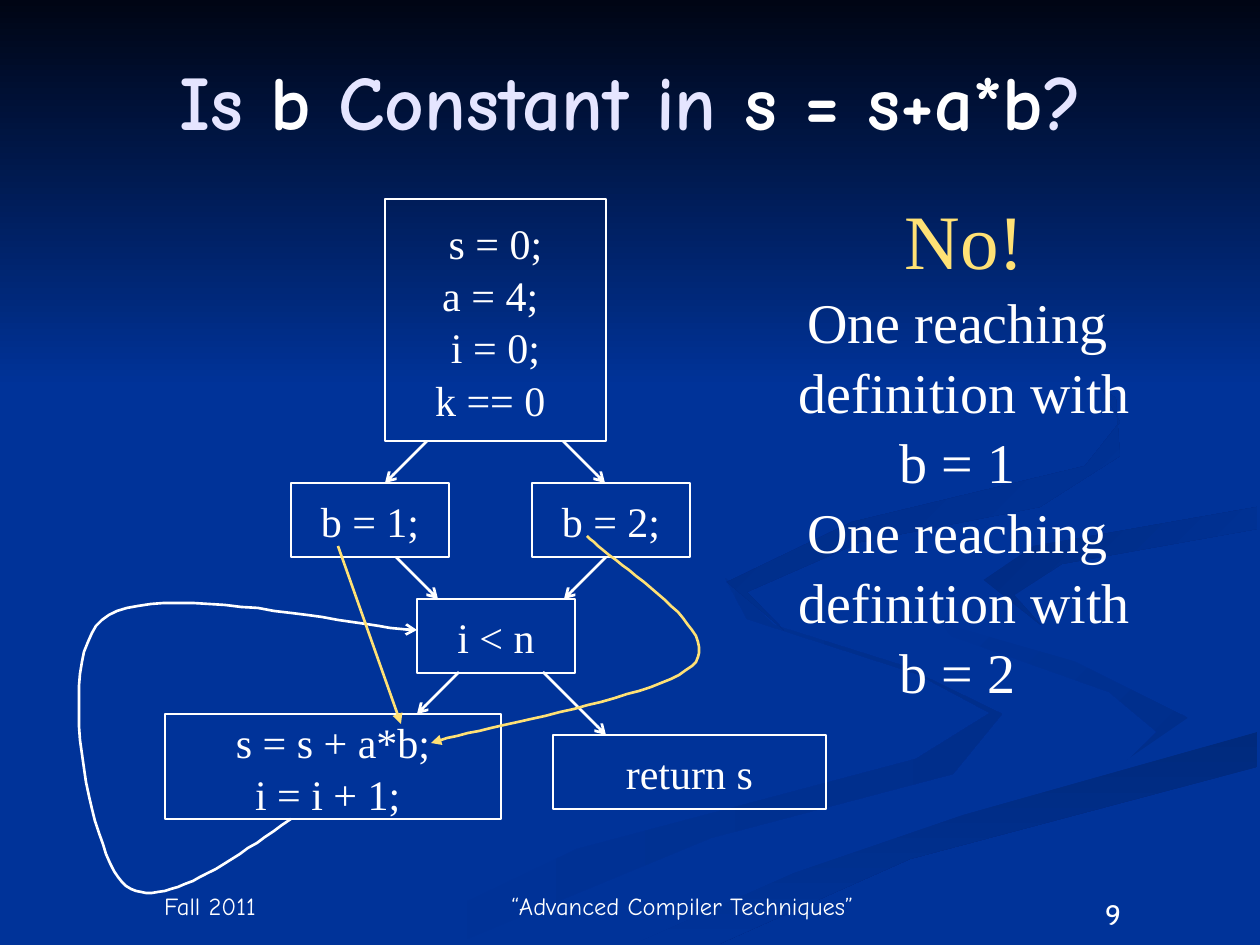
from lxml import etree
from pptx import Presentation
from pptx.dml.color import RGBColor
from pptx.enum.shapes import MSO_CONNECTOR, MSO_SHAPE
from pptx.enum.text import MSO_ANCHOR, PP_ALIGN
from pptx.oxml.ns import qn
from pptx.util import Pt

RECT, LINE = MSO_SHAPE.RECTANGLE, MSO_CONNECTOR.STRAIGHT
TOP, MID, LOW = MSO_ANCHOR.TOP, MSO_ANCHOR.MIDDLE, MSO_ANCHOR.BOTTOM
CENTER = PP_ALIGN.CENTER

SCALE = 914400 / 126
WIDTH, HEIGHT = 1260, 945
BLUE, DEEP, WHITE, LILAC, GOLD = "003399", "002B82", "FFFFFF", "E5E5FF", "FFE175"
SERIF, COMIC, SANS = "Times New Roman", "Comic Neue", "Cabin"

CODE = {"name": SERIF, "size": Pt(24), "color": WHITE}
NOTE = {**CODE, "size": Pt(32)}
SHOUT = {"name": SERIF, "size": Pt(44), "color": GOLD}
FOOT = {"name": COMIC, "size": Pt(14), "color": WHITE}
PAGE = {"name": SANS, "size": Pt(16), "color": WHITE}
HEAD = {"name": COMIC, "size": Pt(44), "bold": True, "color": LILAC}
TERM = {**HEAD, "color": WHITE}

# Edge shared by the lowest ribbon and the plain band above it
RIM = [(634, 944), (794, 873), (963, 815), (1257, 732)]

# Background ribbons: fill colours, gradient angle, outline
RIBBONS = [
    ((BLUE, "002E8B"), 0, [
        (1002, 714), (901, 665), (774, 625), (725, 578), (747, 619),
        (917, 674), (990, 713), (916, 759), (577, 849), (378, 944),
        (455, 944), (711, 838), (953, 774)]),
    ((BLUE, "002E8B"), 45, [
        (1188, 718), (1071, 660), (955, 627), (912, 585), (951, 636),
        (1109, 692), (1157, 732), (1126, 762)]),
    (("002A7D", BLUE), 90, RIM + [(1257, 767), (910, 859), (719, 944)]),
    ((BLUE,), 0, RIM + [
        (1259, 678), (1029, 620), (984, 583), (1090, 534), (1259, 507),
        (1259, 488), (993, 532), (914, 585), (955, 627), (1140, 680),
        (1188, 718), (1124, 762), (780, 862), (601, 944)]),
    ((DEEP, BLUE), 45, [
        (984, 580), (1041, 625), (1014, 595), (1062, 564), (1257, 529),
        (1257, 507), (1034, 546)]),
    ((DEEP, BLUE), 45, [
        (861, 542), (1040, 507), (1120, 456), (1116, 398), (960, 294),
        (1096, 377), (1120, 422), (1085, 466), (852, 522), (727, 582),
        (784, 630), (747, 592)]),
]

# Flow graph: left, top, lines, then a size where it is not the usual one
SIZE = (158, 74)
BLOCKS = [
    (385, 199, [" s = 0; ", "a = 4; ", "i = 0;", "k == 0 "], (221, 242)),
    (291, 483, ["b = 1;"]),
    (532, 483, ["b = 2;"]),
    (417, 599, ["i < n"]),
    (165, 714, ["s = s + a*b;", "i = i + 1; "], (336, 105)),
    (553, 735, ["return s"], (273, 74)),
]
# Diagonal arrows: start, then sideways run, which equals the drop
EDGES = [(427, 441, -42), (563, 441, 42), (396, 557, 42),
         (606, 557, -42), (459, 672, -42), (543, 672, 63)]
LOOP = [(291, 819), (222, 867), (154, 915), (122, 882), (91, 849), (53, 662),
        (102, 620), (150, 577), (364, 629), (417, 630)]
REACH = [(587, 536), (606, 557), (721, 627), (696, 662), (669, 696),
         (485, 726), (431, 743)]


def px(*nums):
    return [round(n * SCALE) for n in nums]


def rgb(code):
    return RGBColor.from_string(code)


def write(frame, paras, anchor=MID, wrap=True, space=None):
    """Fill a text frame; each paragraph is a list of (text, format) runs."""
    frame.word_wrap, frame.vertical_anchor = wrap, anchor
    for i, runs in enumerate(paras):
        para = frame.add_paragraph() if i else frame.paragraphs[0]
        para.alignment, para.line_spacing = CENTER, space
        for text, style in runs:
            run = para.add_run()
            run.text = text
            for key, val in style.items():
                if key == "color":
                    run.font.color.rgb = rgb(val)
                else:
                    setattr(run.font, key, val)


def label(slide, box, paras, **opts):
    write(slide.shapes.add_textbox(*px(*box)).text_frame, paras, **opts)


def stroke(item, color, tip=None):
    item.line.color.rgb, item.line.width = rgb(color), Pt(1.5)
    if tip:
        ln = item.line._get_or_add_ln()
        etree.SubElement(ln, qn("a:tailEnd"), type=tip)


def block(slide, left, top, lines, size=SIZE):
    shape = slide.shapes.add_shape(RECT, *px(left, top, *size))
    shape.shadow.inherit = False
    shape.fill.background()
    stroke(shape, WHITE)
    write(shape.text_frame, [[(t, CODE)] for t in lines], wrap=False, space=1.04)


def arrow(slide, ends, color, tip):
    line = slide.shapes.add_connector(LINE, *px(*ends))
    etree.SubElement(line._element.spPr, qn("a:effectLst"))
    stroke(line, color, tip)


def trace(slide, pts, close):
    pen = slide.shapes.build_freeform(*pts[0], scale=SCALE)
    pen.add_line_segments(pts[1:], close=close)
    shape = pen.convert_to_shape()
    shape.shadow.inherit = False
    return shape


def paint(shape, colors, angle):
    """Fill with one colour, or with a gradient turned clockwise by angle."""
    shape.line.fill.background()
    if len(colors) == 1:
        shape.fill.solid()
        shape.fill.fore_color.rgb = rgb(colors[0])
        return
    shape.fill.gradient()
    shape.fill.gradient_angle = -angle % 360
    for i, stop in enumerate(shape.fill.gradient_stops):
        stop.position, stop.color.rgb = i, rgb(colors[i])


def curve(slide, knots, color, tip, steps=24):
    """Draw joined cubic Bézier spans through every third knot."""
    pts = [knots[0]]
    for i in range(0, len(knots) - 1, 3):
        for t in (n / steps for n in range(1, steps + 1)):
            mix = ((1 - t) ** 3, 3 * t * (1 - t) ** 2, 3 * t * t * (1 - t), t ** 3)
            pts.append(tuple(sum(m * k[a] for m, k in zip(mix, knots[i:i + 4]))
                             for a in (0, 1)))
    shape = trace(slide, pts, False)
    shape.fill.background()
    stroke(shape, color, tip)


def backdrop(slide):
    slide.background.fill.solid()
    slide.background.fill.fore_color.rgb = rgb(BLUE)
    for colors, angle, pts in RIBBONS:
        paint(trace(slide, pts, True), colors, angle)
    shade = slide.shapes.add_shape(RECT, *px(0, 0, WIDTH, 388))
    shade.shadow.inherit = False
    paint(shade, ("000514", BLUE), 90)


def main():
    deck = Presentation()
    deck.slide_width, deck.slide_height = px(WIDTH, HEIGHT)
    slide = deck.slides.add_slide(deck.slide_layouts[6])
    backdrop(slide)

    label(slide, (1008, 891, 210, 50), [[("9", PAGE)]], anchor=TOP)
    label(slide, (63, 882, 294, 45), [[("Fall 2011", FOOT)]], anchor=LOW)
    label(slide, (483, 882, 399, 45),
          [[("“Advanced Compiler Techniques”", FOOT)]], anchor=LOW)
    label(slide, (53, 21, 1155, 158),
          [[("Is ", HEAD), ("b", TERM), (" Constant in ", HEAD),
            ("s = s+a*b", TERM), ("?", HEAD)]])

    for item in BLOCKS:
        block(slide, *item)
    for x, y, run in EDGES:
        arrow(slide, (x, y, x + run, y + abs(run)), WHITE, "arrow")
    curve(slide, LOOP, WHITE, "arrow")

    answer = [[("No!", SHOUT)]]
    for val in (1, 2):
        answer += [[(t, NOTE)] for t in
                   ("One reaching ", "definition with", f"b = {val} ")]
    label(slide, (786, 183, 357, 509), answer, anchor=TOP, wrap=False, space=1.04)
    arrow(slide, (338, 546, 401, 724), GOLD, "triangle")
    curve(slide, REACH, GOLD, "triangle")
    deck.save("out.pptx")


if __name__ == "__main__":
    main()
